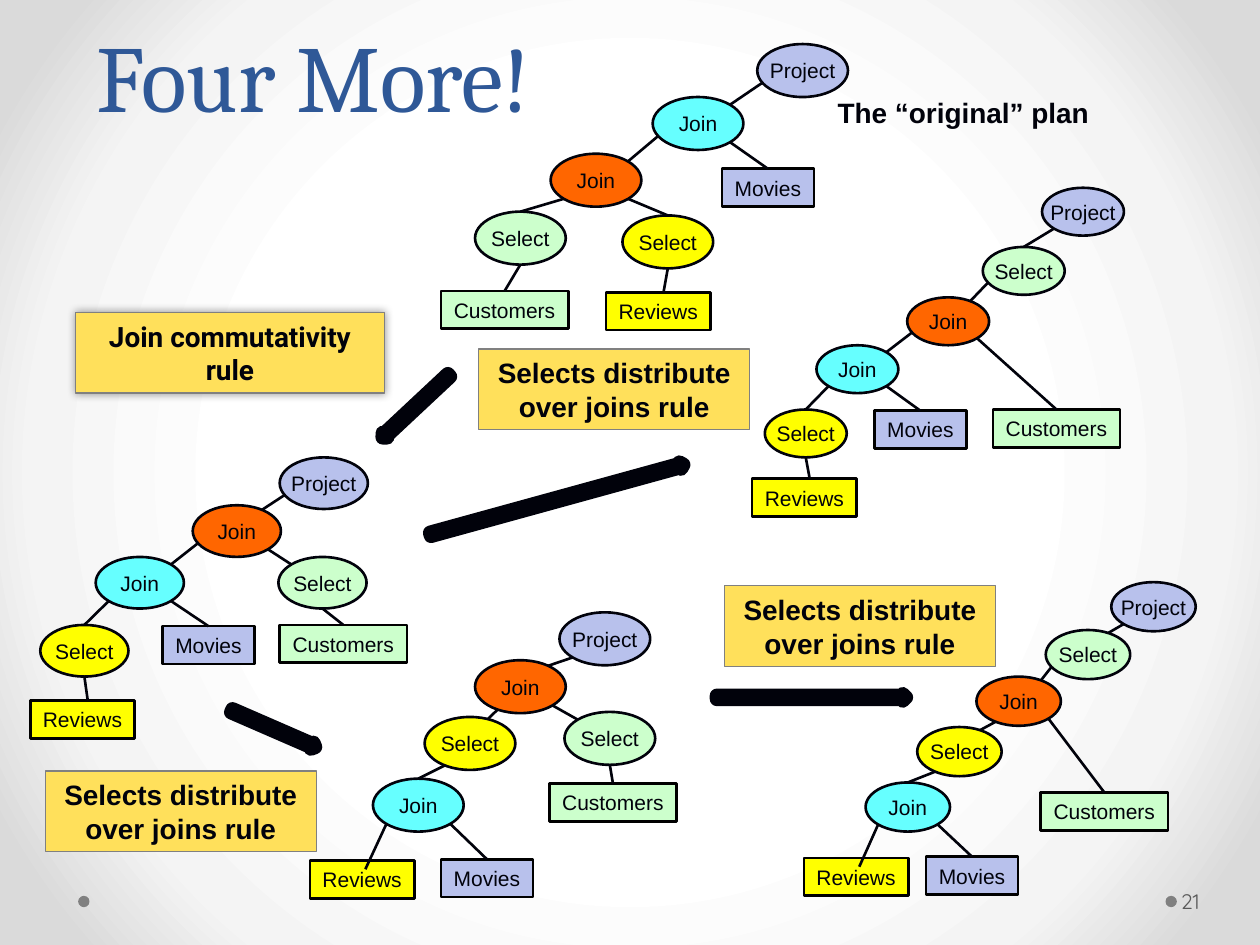
import pptx
import pptx.util
import pptx.oxml
import pptx.oxml.ns
import pptx.dml.color
import pptx.enum.shapes
import pptx.enum.text

RGB = pptx.dml.color.RGBColor
SHAPE = pptx.enum.shapes.MSO_SHAPE
ALIGN = pptx.enum.text.PP_ALIGN
ANCHOR = pptx.enum.text.MSO_ANCHOR

INK = RGB(0x01, 0x02, 0x0B)
BLACK = RGB(0, 0, 0)
GREY = RGB(0x80, 0x80, 0x80)
NUMBER_GREY = RGB(0x59, 0x59, 0x59)
TITLE_BLUE = RGB(0x2F, 0x58, 0x97)
ARROW_BLUE = RGB(0x60, 0x76, 0xB4)
GOLD = RGB(0xFF, 0xE0, 0x5B)
GREEN = RGB(0xCC, 0xFF, 0xCC)
YELLOW = RGB(0xFF, 0xFF, 0x00)
ORANGE = RGB(0xFF, 0x66, 0x00)
LILAC = RGB(0xB8, 0xC1, 0xEC)
CYAN = RGB(0x66, 0xFF, 0xFF)

TABLES = {"customers": ("Customers", GREEN, 1.01),
          "reviews": ("Reviews", YELLOW, 0.83),
          "movies": ("Movies", LILAC, 0.73)}
OPERATORS = {"project": ("Project", LILAC),
             "customer join": ("Join", ORANGE),
             "movie join": ("Join", CYAN),
             "customer select": ("Select", GREEN),
             "review select": ("Select", YELLOW)}
TABLE_HEIGHT = 0.3
SITES = {"N": (0.5, 0), "S": (0.5, 1), "NE": (0.85, 0.15), "NW": (0.15, 0.15),
         "SE": (0.85, 0.85), "SW": (0.15, 0.85), "WSW": (0.1, 0.68),
         "NNE": (0.73, 0.15), "SSW": (0.3, 0.85), "upper": (0.6, 0.2),
         "top": (0.55, 0), "inside": (0.53, 0.23)}

MOVIES_EDGE = ("movie join", "SE", "movies", "N")
CUSTOMERS_EDGE = ("customer select", "S", "customers", "N")
REVIEWS_EDGE = ("review select", "S", "reviews", "top")
JOINS_EDGE = ("customer join", "WSW", "movie join", "NE")
LATE_REVIEWS = [("customer join", "SSW", "review select", "upper"),
                ("review select", "SSW", "movie join", "N"),
                ("movie join", "SW", "reviews", "inside"), MOVIES_EDGE]
LATE_CUSTOMERS = [("customer select", "WSW", "customer join", "NNE"),
                  ("customer join", "SE", "customers", "N")]

PLANS = [
    ((3.5, 0.35), (0.72, 0.42),
     {"project": (2.51, 0), "movie join": (1.68, 0.42), "customer join": (0.87, 0.87),
      "customer select": (0.27, 1.33), "review select": (1.44, 1.36),
      "customers": (0, 1.96), "reviews": (1.31, 1.97), "movies": (2.23, 0.99)},
     [("project", "WSW", "movie join", "NE"), ("movie join", "WSW", "customer join", "NE"),
      ("customer join", "SW", "customer select", "N"),
      ("customer join", "SE", "review select", "N"),
      MOVIES_EDGE, CUSTOMERS_EDGE, REVIEWS_EDGE]),
    ((0.24, 3.63), (0.7, 0.41),
     {"project": (1.98, 0), "customer join": (1.29, 0.38), "movie join": (0.52, 0.79),
      "customer select": (1.97, 0.79), "review select": (0.08, 1.33),
      "customers": (1.98, 1.33), "reviews": (0, 1.93), "movies": (1.05, 1.34)},
     [("project", "WSW", "customer join", "NNE"), JOINS_EDGE,
      ("customer join", "SE", "customer select", "NW"),
      ("movie join", "SW", "review select", "N"),
      MOVIES_EDGE, CUSTOMERS_EDGE, REVIEWS_EDGE]),
    ((2.46, 4.86), (0.72, 0.42),
     {"project": (1.98, 0), "customer join": (1.31, 0.38), "review select": (0.91, 0.83),
      "movie join": (0.5, 1.32), "customer select": (2.02, 0.79),
      "customers": (1.9, 1.36), "reviews": (0, 1.97), "movies": (1.04, 1.96)},
     [("project", "SW", "customer join", "NNE"),
      ("customer join", "SE", "customer select", "NW"), CUSTOMERS_EDGE, *LATE_REVIEWS]),
    ((5.97, 1.49), (0.65, 0.38),
     {"project": (2.3, 0), "customer select": (1.83, 0.47), "customer join": (1.23, 0.87),
      "movie join": (0.51, 1.25), "review select": (0.1, 1.76),
      "customers": (1.91, 1.76), "reviews": (0, 2.31), "movies": (0.97, 1.77)},
     [("project", "SW", "customer select", "N"), *LATE_CUSTOMERS, JOINS_EDGE,
      ("movie join", "SW", "review select", "N"), MOVIES_EDGE, REVIEWS_EDGE]),
    ((6.38, 4.62), (0.67, 0.39),
     {"project": (2.44, 0), "customer select": (1.92, 0.38), "customer join": (1.37, 0.75),
      "review select": (0.9, 1.15), "movie join": (0.49, 1.59),
      "customers": (1.88, 1.67), "reviews": (0, 2.19), "movies": (0.97, 2.18)},
     [("project", "SW", "customer select", "upper"), *LATE_CUSTOMERS, *LATE_REVIEWS]),
]
ARROWS = [((5.69, 5.51, 1.5, 0.05), 0), ((3.38, 3.94, 2.08, 0.05), 344.6),
          ((1.81, 5.76, 0.72, 0.05), 23.5), ((2.94, 3.2, 0.72, 0.05), 136.9)]
DISTRIBUTE_RULES = [(0.36, 6.12), (5.75, 4.65), (3.8, 2.77)]


def lengths(*inches):
    """Turn inch values into Cm lengths."""
    return [pptx.util.Cm(value * 2.54) for value in inches]


def write(frame, text, size, font="Arial", color=INK, bold=False, align=ALIGN.CENTER):
    """Write one formatted run into a text frame and return its paragraph."""
    paragraph = frame.paragraphs[0]
    paragraph.alignment = align
    run = paragraph.add_run()
    run.text = text
    run.font.size = pptx.util.Pt(size)
    run.font.name = font
    run.font.bold = bold
    run.font.color.rgb = color
    return paragraph


def add_figure(slide, preset, box, fill, line, width):
    """Add a flat preset shape with the given fill and outline."""
    figure = slide.shapes.add_shape(preset, *lengths(*box))
    figure.shadow.inherit = False
    figure.fill.solid()
    figure.fill.fore_color.rgb = fill
    figure.line.color.rgb = line
    figure.line.width = pptx.util.Pt(width)
    return figure


def add_node(slide, preset, box, label, fill, line):
    """Add one labelled node of a query plan."""
    node = add_figure(slide, preset, box, fill, line, 1.5)
    node.text_frame.word_wrap = False
    write(node.text_frame, label, 12)


def add_edge(slide, start, end):
    """Draw a straight plan edge between two points."""
    edge = slide.shapes.add_connector(
        pptx.enum.shapes.MSO_CONNECTOR.STRAIGHT, *lengths(*start, *end))
    edge.line.color.rgb = INK
    edge.line.width = pptx.util.Pt(1.5)
    pptx.oxml.ns.qn("a:effectLst")
    edge._element.spPr.append(pptx.oxml.parse_xml(
        f'<a:effectLst {pptx.oxml.ns.nsdecls("a")}/>'))


def add_plan(slide, origin, oval, places, edges):
    """Draw a query plan tree from its top-left corner."""
    boxes = {}
    for name, (x, y) in places.items():
        size = (TABLES[name][2], TABLE_HEIGHT) if name in TABLES else oval
        boxes[name] = (origin[0] + x, origin[1] + y, *size)

    def site(name, key):
        """Locate a named site on a node."""
        x, y, width, height = boxes[name]
        across, down = SITES[key]
        return x + across * width, y + down * height

    for name, (label, fill, _) in TABLES.items():
        add_node(slide, SHAPE.RECTANGLE, boxes[name], label, fill, BLACK)
    for parent, parent_site, child, child_site in edges:
        add_edge(slide, site(parent, parent_site), site(child, child_site))
    for name, (label, fill) in OPERATORS.items():
        add_node(slide, SHAPE.OVAL, boxes[name], label, fill, INK)


def add_rule(slide, box, text, font="Arial"):
    """Add a gold box naming a rewrite rule."""
    rule = add_figure(slide, SHAPE.RECTANGLE, box, GOLD, GREY, 0.75)
    rule.text_frame.word_wrap = True
    write(rule.text_frame, text, 16, font, bold=True)
    return rule


def add_glow(rule):
    """Give a rule box a soft centred shadow."""
    effects = rule._element.spPr.find(pptx.oxml.ns.qn("a:effectLst"))
    effects.append(pptx.oxml.parse_xml(
        f'<a:outerShdw {pptx.oxml.ns.nsdecls("a")} blurRad="63500" dist="0" dir="0">'
        '<a:srgbClr val="000000"><a:alpha val="40000"/></a:srgbClr></a:outerShdw>'))


def add_arrow(slide, box, angle):
    """Add a thick arrow between two plans."""
    arrow = add_figure(slide, SHAPE.RIGHT_ARROW, box, ARROW_BLUE, INK, 8.25)
    arrow.rotation = angle


def add_text(slide, box, text, size, **style):
    """Add a left-aligned text box."""
    frame = slide.shapes.add_textbox(*lengths(*box)).text_frame
    frame.word_wrap = True
    write(frame, text, size, align=ALIGN.LEFT, **style)
    return frame


def paint_background(slide):
    """Fill the background with a radial white to grey gradient."""
    slide.background.fill.solid()
    solid = slide.element.xpath(".//a:solidFill")[0]
    stops = "".join(f'<a:gs pos="{place}000"><a:srgbClr val="{color}"/></a:gs>'
                    for place, color in ((50, "FFFFFF"), (76, "F4F4F4"), (92, "DADADA")))
    solid.getparent().replace(solid, pptx.oxml.parse_xml(
        f'<a:gradFill {pptx.oxml.ns.nsdecls("a")}><a:gsLst>{stops}</a:gsLst>'
        '<a:path path="circle"><a:fillToRect l="50000" t="50000" r="50000" b="50000"/>'
        '</a:path></a:gradFill>'))


def add_frame(slide):
    """Place the title, the footer dots and the slide number."""
    title = slide.shapes.title
    title.left, title.top, title.width, title.height = lengths(0.13, 0.22, 4.72, 0.87)
    title.text_frame.vertical_anchor = ANCHOR.BOTTOM
    heading = write(title.text_frame, "Four More!", 54, "Cambria", TITLE_BLUE)
    heading.line_spacing = pptx.util.Pt(58)
    for left in (0.62, 9.25):
        dot = add_figure(slide, SHAPE.OVAL, (left, 7.11, 0.09, 0.09), GREY, GREY, 0.75)
        dot.line.fill.background()
    number = add_text(slide, (9.34, 6.95, 0.61, 0.4), "21", 12,
                      font="Quicksand", color=NUMBER_GREY)
    number.vertical_anchor = ANCHOR.MIDDLE
    number.margin_left = pptx.util.Cm(0.08)


def main():
    """Build the slide and save it."""
    deck = pptx.Presentation()
    deck.slide_width, deck.slide_height = lengths(10, 7.5)
    slide = deck.slides.add_slide(deck.slide_layouts[5])
    paint_background(slide)
    add_frame(slide)
    for plan in PLANS:
        add_plan(slide, *plan)
    add_text(slide, (6.55, 0.71, 2.3, 0.37), "The “original” plan", 16, bold=True)
    for box, angle in ARROWS:
        add_arrow(slide, box, angle)
    add_glow(add_rule(slide, (0.6, 2.48, 2.45, 0.64), "Join commutativity rule", "Roboto"))
    for corner in DISTRIBUTE_RULES:
        add_rule(slide, (*corner, 2.15, 0.64), "Selects distribute over joins rule")
    deck.save("out.pptx")


if __name__ == "__main__":
    main()
